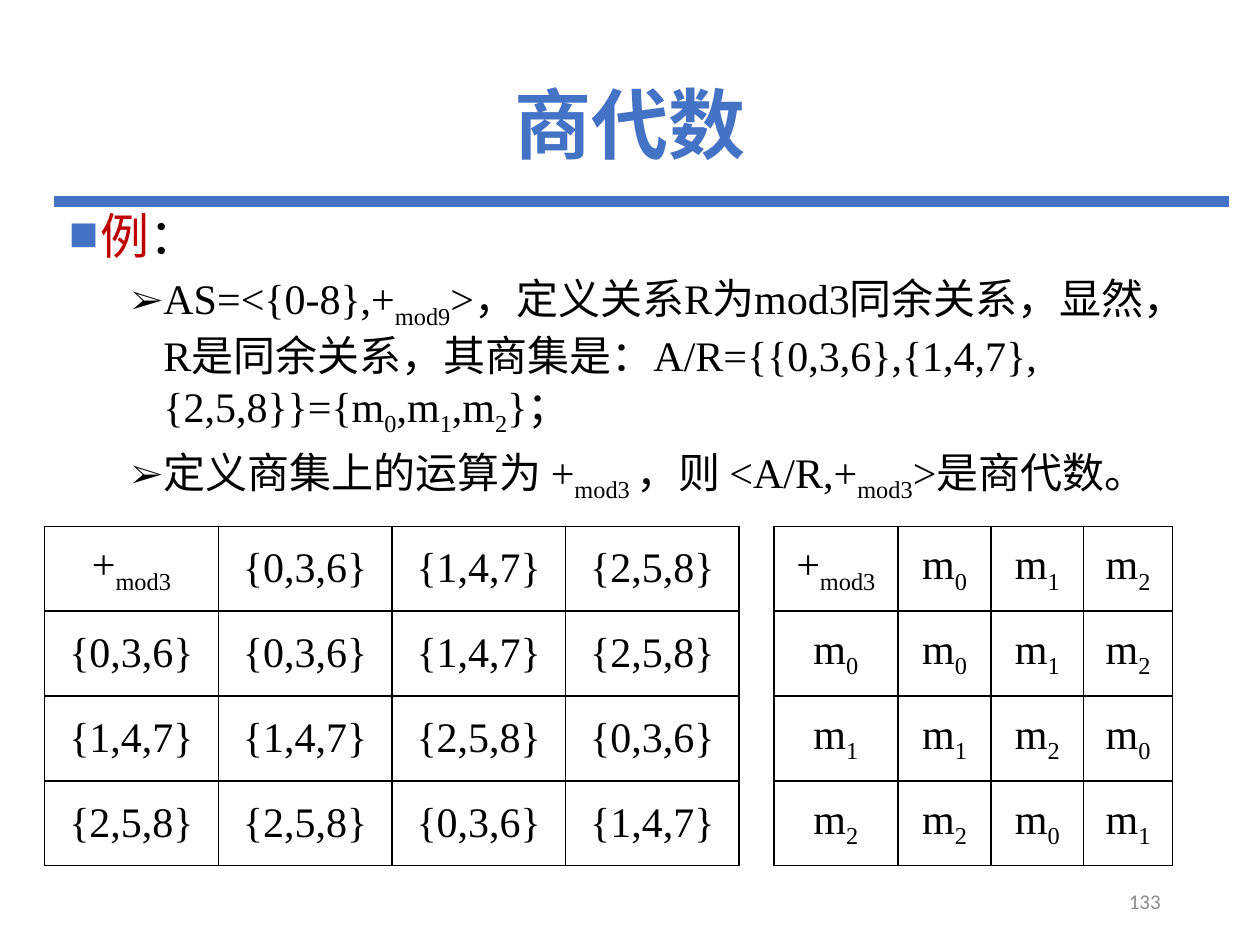
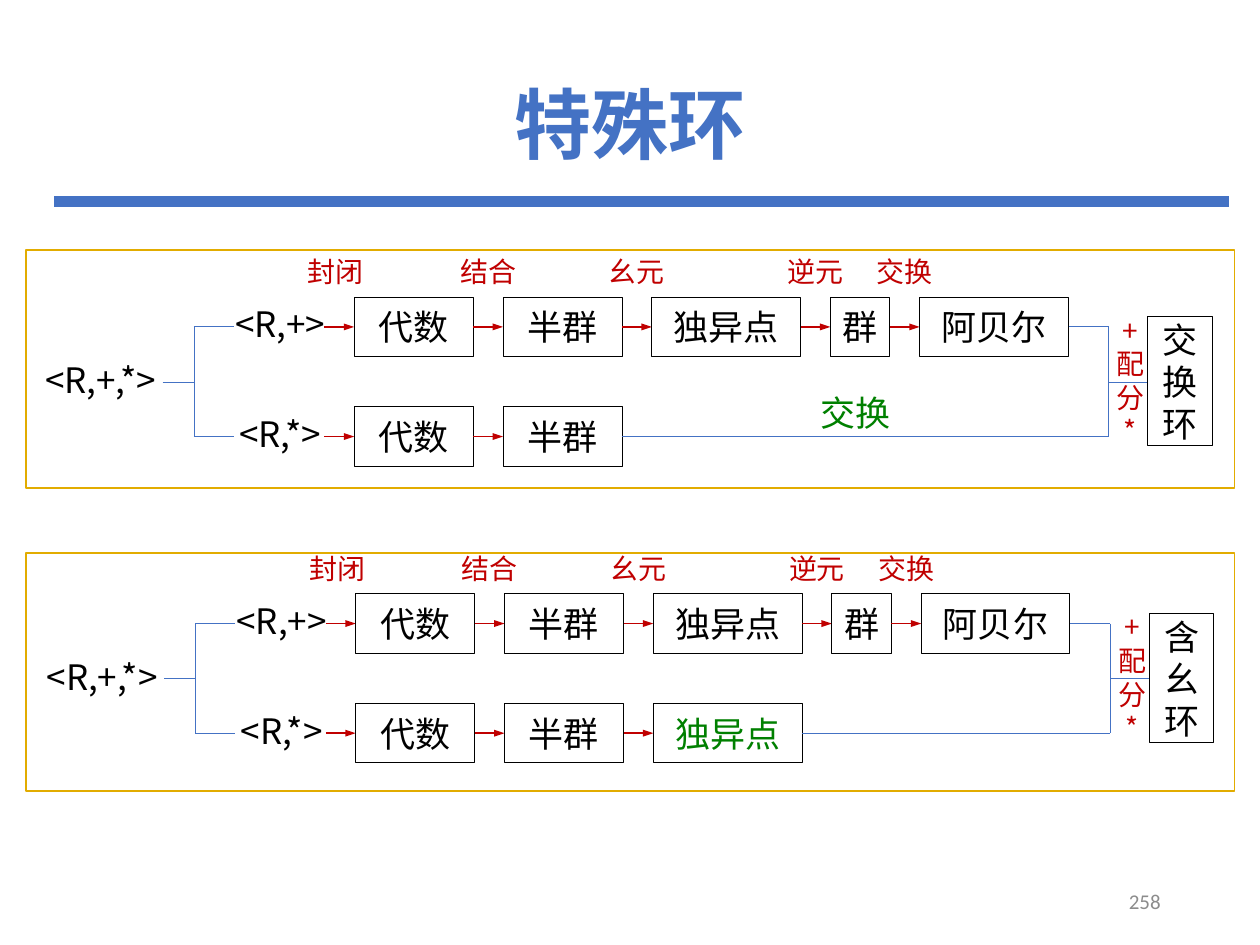
from lxml import etree
from pptx import Presentation
from pptx.dml.color import RGBColor as Rgb
from pptx.enum.shapes import MSO_CONNECTOR as Conn, MSO_SHAPE as Kind
from pptx.enum.text import MSO_ANCHOR as Anchor, PP_ALIGN as Align
from pptx.oxml.ns import qn
from pptx.util import Cm, Pt

HUES = {
    "blue": "4472C4",
    "red": "C00000",
    "green": "008000",
    "gold": "E2AC00",
    "black": "000000",
    "grey": "8C8C8C",
}
SANS = "Noto Sans CJK SC"
KANJI = "Noto Sans CJK JP"
SERIF = "Times New Roman"
STEP = 0.6


def hue(name):
    return Rgb.from_string(HUES[name])


def node(parent, tag, **attrs):
    return etree.SubElement(parent, qn(tag), attrs)


class Deck:
    def __init__(self):
        self.prs = Presentation()
        self.prs.slide_width = Cm(25.4)
        self.prs.slide_height = Cm(19.05)
        self.slide = None

    def page(self, title, number):
        self.slide = self.prs.slides.add_slide(self.prs.slide_layouts[5])
        head = self.slide.shapes.title
        head.left, head.top, head.width, head.height = map(Cm, (1.75, 1.02, 21.9, 3.15))
        self.fill(head, title, 44, "blue", bold=True, space=0.9)
        self.line(1.09, 4.06, 24.77, 4.06, "blue", 6)
        self.text((17.93, 17.65, 5.72, 1.02), str(number), 12, "grey",
                  font="Calibri", align=Align.RIGHT, inset=0.25)

    def run(self, para, text, size, tint, font=SANS, bold=False, sub=False):
        run = para.add_run()
        run.text = text
        run.font.size = Pt(size)
        run.font.bold = bold
        run.font.color.rgb = hue(tint)
        run.font.name = font
        props = run._r.get_or_add_rPr()
        node(props, "a:ea", typeface=SANS if font == SERIF else font)
        if sub:
            props.set("baseline", "-25000")

    def math(self, para, text, size=24):
        for i, part in enumerate(text.split("|")):
            if part:
                self.run(para, part, size, "black", SERIF, sub=i % 2 == 1)

    def fill(self, shape, text, size, tint, font=SANS, bold=False,
             align=Align.CENTER, inset=0.2, space=None):
        frame = shape.text_frame
        frame.word_wrap = True
        frame.vertical_anchor = Anchor.MIDDLE
        frame.margin_left = frame.margin_right = Cm(inset)
        frame.margin_top = frame.margin_bottom = 0
        para = frame.paragraphs[0]
        para.alignment = align
        if space:
            para.line_spacing = space
        self.run(para, text, size, tint, font, bold)

    def text(self, area, text, size, tint="black", **style):
        box = self.slide.shapes.add_textbox(*map(Cm, area))
        self.fill(box, text, size, tint, **style)

    def rect(self, area, edge="black", width=0.5):
        box = self.slide.shapes.add_shape(Kind.RECTANGLE, *map(Cm, area))
        box.shadow.inherit = False
        box.fill.background()
        box.line.color.rgb = hue(edge)
        box.line.width = Pt(width)
        return box

    def box(self, area, text, tint="black", **style):
        self.fill(self.rect(area), text, 20, tint, **style)

    def line(self, x1, y1, x2, y2, tint="blue", width=0.5, arrow=False):
        ends = map(Cm, (x1, y1, x2, y2))
        link = self.slide.shapes.add_connector(Conn.STRAIGHT, *ends)
        link.line.color.rgb = hue(tint)
        link.line.width = Pt(width)
        if arrow:
            node(link.line._get_or_add_ln(), "a:tailEnd", type="triangle", w="sm")
        node(link._element.spPr, "a:effectLst")

    def bullet(self, para, mark, left, tint, before=0, scale=100):
        props = para._p.get_or_add_pPr()
        props.set("marL", str(Cm(left)))
        props.set("indent", str(-Cm(0.635)))
        if before:
            para.space_before = Pt(before)
        node(node(props, "a:buClr"), "a:srgbClr", val=HUES[tint])
        node(props, "a:buSzPct", val=str(scale * 1000))
        node(props, "a:buFont", typeface=SERIF)
        node(props, "a:buChar", char=mark)

    def points(self, area, lead, items):
        frame = self.slide.shapes.add_textbox(*map(Cm, area)).text_frame
        frame.word_wrap = True
        para = frame.paragraphs[0]
        self.bullet(para, "■", 0.635, "blue")
        for text, tint in lead:
            self.run(para, text, 28, tint, SERIF)
        for item in items:
            para = frame.add_paragraph()
            self.bullet(para, "➢", 1.905, "black", before=5, scale=80)
            self.math(para, item)

    def table(self, left, top, wide, high, names):
        count = len(names)
        rows = [["+|mod3|"] + names]
        for i in range(count):
            rows.append([names[i]] + [names[(i + j) % count] for j in range(count)])
        size = len(rows)
        shape = self.slide.shapes.add_table(
            size, size, Cm(left), Cm(top), Cm(sum(wide)), Cm(high * size))
        grid = shape.table
        grid.first_row = grid.horz_banding = False
        for col, width in zip(grid.columns, wide):
            col.width = Cm(width)
        for r, row in enumerate(rows):
            grid.rows[r].height = Cm(high)
            for c, text in enumerate(row):
                self.cell(grid.cell(r, c), text)

    def cell(self, cell, text):
        cell.vertical_anchor = Anchor.MIDDLE
        para = cell.text_frame.paragraphs[0]
        para.alignment = Align.CENTER
        self.math(para, text)
        props = cell._tc.get_or_add_tcPr()
        for side in ("a:lnL", "a:lnR", "a:lnT", "a:lnB"):
            edge = node(props, side, w=str(Pt(1)))
            node(node(edge, "a:solidFill"), "a:srgbClr", val=HUES["black"])
        cell.fill.background()

    def chain(self, x, y, items):
        for name, width, law, tint in items:
            self.line(x - STEP, y, x, y, "red", 1, arrow=True)
            self.box((x, y - 0.6, width, 1.2), name, tint)
            if law:
                shift = 1.27 if law == "封闭" else 1.2
                self.text((x - shift, y - 1.62, 1.8, 1), law, 16, "red")
            x += width + STEP
        return x - STEP

    def ring(self, x, y, top, lower, result, note=None):
        low, mid = y + 2.21, y + 1.11
        fork, join = x + 3.38, x + 21.82
        self.text((x, y + 0.46, 3, 1.2), "<R,+,*>", 20)
        upper = [
            ("代数", 2.4, "封闭", "black"),
            ("半群", 2.4, "结合", "black"),
            ("独异点", 3, "幺元", "black"),
            ("群", 1.2, "逆元", "black"),
            ("阿贝尔", 3, "交换", "black"),
        ]
        for level, sign, items in ((y, "+", upper), (low, "*", lower)):
            self.text((x + 3.92, level - 0.66, 2.4, 1.2), f"<R,{sign}>", 20)
            self.line(fork, level, fork + 0.8, level)
            end = self.chain(x + 6.61, level, items)
            self.line(end, level, join, level)
        self.line(x + 2.75, mid, fork, mid)
        self.line(fork, y, fork, low)
        self.line(join, y, join, low)
        self.line(join, mid, x + 22.61, mid)
        self.box((x + 22.61, y - 0.2, 1.3, 2.6), result, font=KANJI)
        self.text((x + 21.76, y - 0.22, 1, 2.6), "+配分*", 16, "red")
        if note:
            self.text((x + 15.5, y + 1.17, 2.44, 1.12), note, 20, "green")
        self.rect((0.53, top, 24.36, 4.8), "gold", 1)


def main():
    deck = Deck()

    deck.page("商代数", 133)
    deck.points(
        (1.14, 4.01, 22.86, 6.5),
        [("例", "red"), ("：", "black")],
        [
            "AS=<{0-8},+|mod9|>，定义关系R为mod3同余关系，显然，R是同余关系，"
            "其商集是：A/R={{0,3,6},{1,4,7},{2,5,8}}={m|0|,m|1|,m|2|}；",
            "定义商集上的运算为 +|mod3 |，则 <A/R,+|mod3|>是商代数。",
        ])
    sets = [f"{{{i},{i + 3},{i + 6}}}" for i in range(3)]
    deck.table(0.9, 10.61, [3.5] * 4, 1.71, sets)
    marks = [f"m|{i}|" for i in range(3)]
    deck.table(15.6, 10.61, [2.5, 1.88, 1.86, 1.8], 1.71, marks)

    deck.page("特殊环", 258)
    base = [("代数", 2.4, None, "black"), ("半群", 2.4, None, "black")]
    deck.ring(0.53, 6.59, 5.04, base, "交换环", "交换")
    unit = base + [("独异点", 3, None, "green")]
    deck.ring(0.56, 12.57, 11.15, unit, "含幺环")

    deck.prs.save("out.pptx")


if __name__ == "__main__":
    main()
